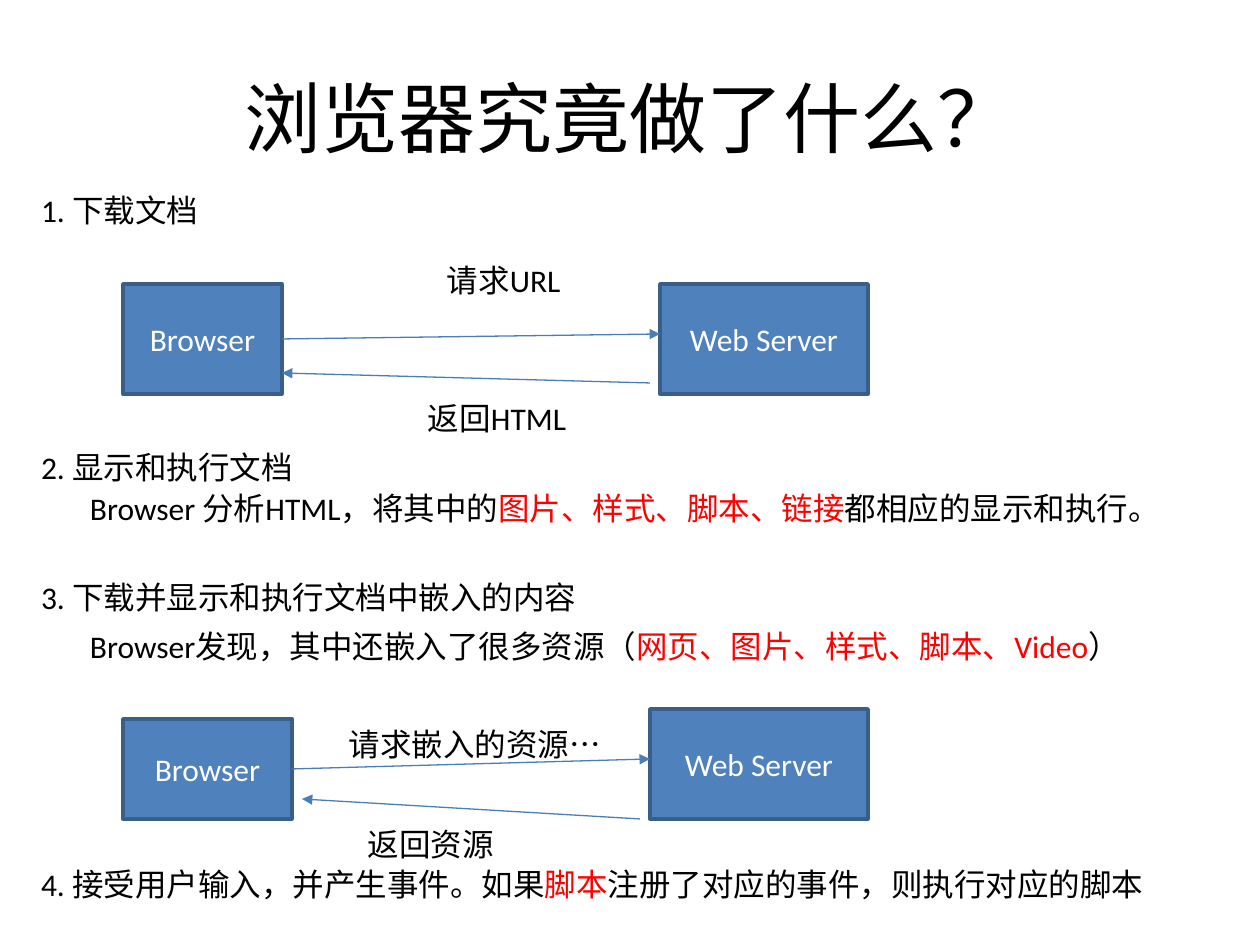
from pptx import Presentation
from pptx.dml.color import RGBColor
from pptx.enum.shapes import MSO_CONNECTOR, MSO_SHAPE
from pptx.enum.text import MSO_ANCHOR, PP_ALIGN
from pptx.oxml.ns import qn
from pptx.util import Emu, Pt
from lxml.etree import SubElement

SCALE = 914400 // 126
BLACK, RED, WHITE = "000000", "FF0000", "FFFFFF"


def color(code):
    return RGBColor.from_string(code)


def px(*sizes):
    return [Emu(size * SCALE) for size in sizes]


class Deck:
    font = "Calibri"
    size = 18
    fill = "4F81BD"
    edge = "3A5E8A"
    wire = "4A7EBB"
    pad = 6

    def __init__(self, width, height):
        self.file = Presentation()
        self.file.slide_width, self.file.slide_height = px(width, height)
        self.slide = self.file.slides.add_slide(self.file.slide_layouts[5])

    def style(self, run, code, size=None):
        run.font.name = self.font
        run.font.size = Pt(size or self.size)
        run.font.color.rgb = color(code)

    def frame(self, shape, pad):
        frame = shape.text_frame
        frame.word_wrap = True
        frame.margin_left = frame.margin_right = px(pad)[0]
        frame.margin_top = frame.margin_bottom = px(pad)[0]
        return frame

    def title(self, text, *place):
        shape = self.slide.shapes.title
        shape.left, shape.top, shape.width, shape.height = px(*place)
        frame = shape.text_frame
        frame.text = text
        frame.vertical_anchor = MSO_ANCHOR.MIDDLE
        line = frame.paragraphs[0]
        line.alignment = PP_ALIGN.CENTER
        self.style(line.runs[0], BLACK, 44)

    def text(self, parts, *place):
        shape = self.slide.shapes.add_textbox(*px(*place))
        line = self.frame(shape, self.pad).paragraphs[0]
        for index, part in enumerate(parts):
            run = line.add_run()
            run.text = part
            self.style(run, RED if index % 2 else BLACK)

    def box(self, text, *place):
        shape = self.slide.shapes.add_shape(MSO_SHAPE.RECTANGLE, *px(*place))
        shape.shadow.inherit = False
        shape.fill.solid()
        shape.fill.fore_color.rgb = color(self.fill)
        shape.line.color.rgb = color(self.edge)
        shape.line.width = Pt(2)
        frame = self.frame(shape, 0)
        frame.text = text
        frame.vertical_anchor = MSO_ANCHOR.MIDDLE
        line = frame.paragraphs[0]
        line.alignment = PP_ALIGN.CENTER
        self.style(line.runs[0], WHITE)

    def arrow(self, *ends):
        link = self.slide.shapes.add_connector(MSO_CONNECTOR.STRAIGHT, *px(*ends))
        link.line.color.rgb = color(self.wire)
        link.line.width = Pt(0.75)
        SubElement(link.line._get_or_add_ln(), qn("a:tailEnd"), type="triangle")
        SubElement(link._element.spPr, qn("a:effectLst"))


deck = Deck(1260, 945)
deck.title("浏览器究竟做了什么？", 63, 38, 1134, 158)

for name, *place in [
    ("Browser", 123, 284, 159, 110),
    ("Web Server", 660, 284, 208, 110),
    ("Browser", 123, 719, 169, 100),
    ("Web Server", 650, 709, 218, 110),
]:
    deck.box(name, *place)

for ends in [
    (282, 339, 660, 334),
    (650, 383, 282, 373),
    (292, 769, 650, 759),
    (640, 819, 302, 799),
]:
    deck.arrow(*ends)

for label, *place in [
    ("请求URL", 441, 255, 139, 49),
    ("返回HTML", 422, 393, 189, 49),
    ("请求嵌入的资源…", 343, 719, 287, 49),
    ("返回资源", 362, 819, 198, 45),
]:
    deck.text([label], *place)

STEP, NOTE = 35, 84
for parts, *place in [
    (["1. 下载文档"], STEP, 185, 576, 49),
    (["2. 显示和执行文档"], STEP, 442, 357, 49),
    (["Browser 分析HTML，将其中的", "图片、样式、脚本、链接", "都相应的显示和执行。"],
     NOTE, 483, 1131, 50),
    (["3. 下载并显示和执行文档中嵌入的内容"], STEP, 572, 704, 49),
    (["Browser发现，其中还嵌入了很多资源（", "网页、图片、样式、脚本、Video", "）"],
     NOTE, 621, 1042, 87),
    (["4. 接受用户输入，并产生事件。如果", "脚本", "注册了对应的事件，则执行对应的脚本"],
     STEP, 859, 1171, 49),
]:
    deck.text(parts, *place)

deck.file.save("out.pptx")
